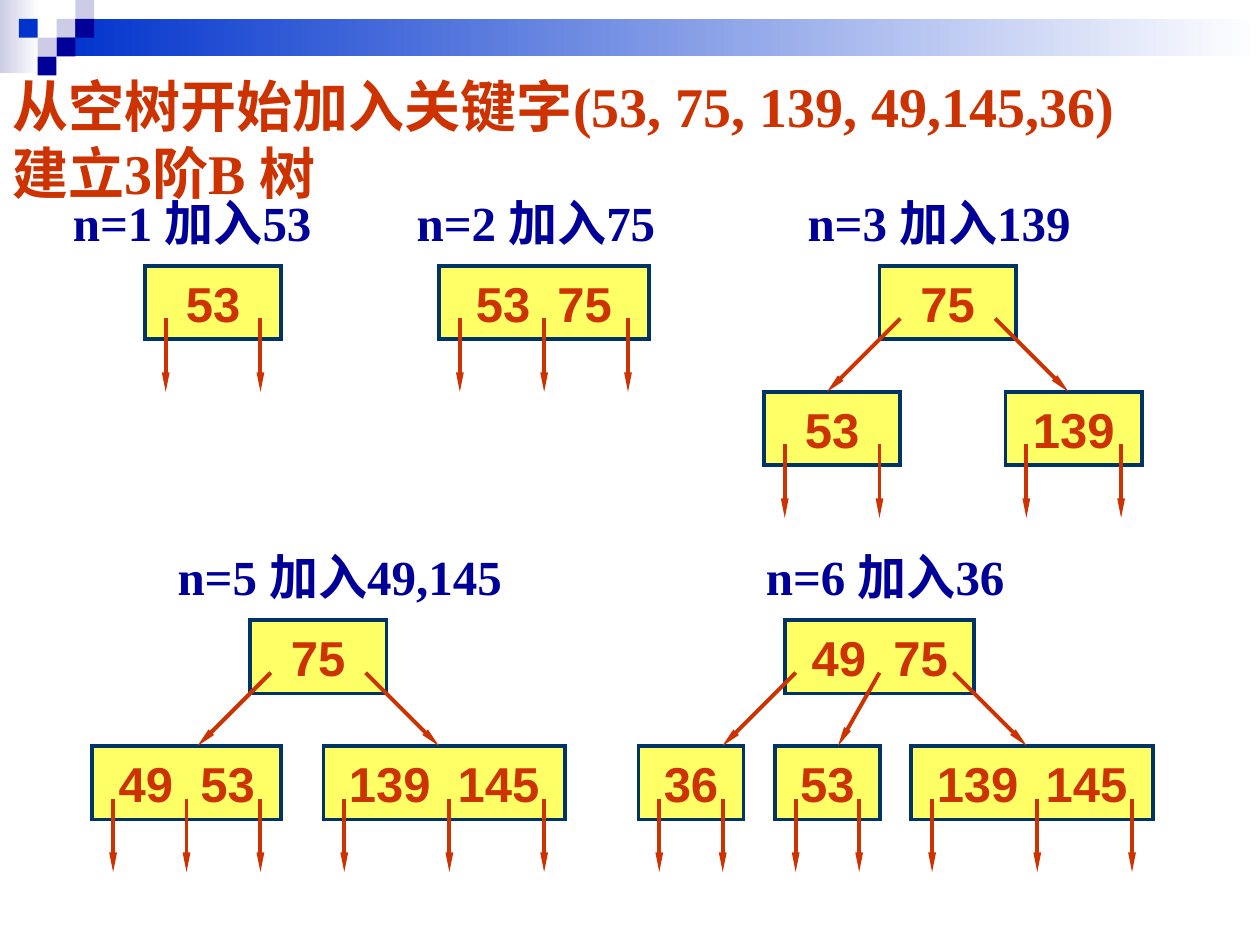
"""Build a slide showing a B-tree of order 3 growing key by key."""
from lxml.etree import SubElement
from pptx import Presentation
from pptx.dml.color import RGBColor
from pptx.enum.shapes import MSO_CONNECTOR as Connector, MSO_SHAPE as Shape
from pptx.enum.text import MSO_ANCHOR as Anchor, MSO_AUTO_SIZE as AutoSize, PP_ALIGN as Align
from pptx.oxml.ns import qn
from pptx.util import Cm, Pt

COLORS = {
    "red": "CC3300", "navy": "000099", "blue": "0033CC", "lilac": "CCCCE6",
    "white": "FFFFFF", "yellow": "FFFF66", "border": "003366",
}
TITLE = ["从空树开始加入关键字(53, 75, 139, 49,145,36)", "建立3阶B 树"]

TILE = 0.38
TILES = [
    (3, 1, "lilac"), (4, 0, "lilac"), (4, 1, "navy"), (2, 2, "lilac"),
    (1, 1, "blue"), (3, 2, "navy"), (2, 3, "navy"),
]
BANDS = [
    (0, 0, 0.79, 1.47, "lilac"),
    (3 * TILE, TILE, 25.4 - 3 * TILE, 2 * TILE, "blue"),
]

NODE_HEIGHT, LEVEL, POINTER_TOP, LABEL_RISE = 1.48, 2.54, 1.06, 1.61
SPREAD = 1.48
NODE_KINDS = {
    "small": (2.12, [0.42, 1.7]),
    "single": (2.75, [0.42, 2.33]),
    "pair": (3.81, [0.42, 1.9, 3.39]),
    "roomy": (4.23, [0.42, 2.12, 3.81]),
    "long": (4.87, [0.42, 2.54, 4.45]),
    "root pair": (3.81, [0.21, 1.9, 3.39]),
}
TWO_WAY, THREE_WAY = [-SPREAD, SPREAD], [-SPREAD, -0.84, SPREAD]
TREES = [
    {"label": "n=1 加入53", "at": (1.22, 5.9), "top": 5.36,
     "root": ("53", "single", 2.92, None), "leaves": []},
    {"label": "n=2 加入75", "at": (8.15, 5.9), "top": 5.36,
     "root": ("53  75", "roomy", 8.85, None), "leaves": []},
    {"label": "n=3 加入139", "at": (16.03, 6.4), "top": 5.36,
     "root": ("75", "single", 17.73, TWO_WAY),
     "leaves": [("53", "single", 15.4), ("139", "single", 20.27)]},
    {"label": "n=5 加入49,145", "at": (3.33, 7.65), "top": 12.5,
     "root": ("75", "single", 5.04, TWO_WAY),
     "leaves": [("49  53", "pair", 1.86), ("139  145", "long", 6.52)]},
    {"label": "n=6 加入36", "at": (15.19, 5.9), "top": 12.5,
     "root": ("49  75", "root pair", 15.83, THREE_WAY),
     "leaves": [("36", "small", 12.87), ("53", "small", 15.62), ("139  145", "long", 18.37)]},
]


def color(name):
    return RGBColor.from_string(COLORS[name])


def add_rectangle(slide, left, top, width, height):
    box = slide.shapes.add_shape(Shape.RECTANGLE, Cm(left), Cm(top), Cm(width), Cm(height))
    box.shadow.inherit = False
    box.line.fill.background()
    return box


def add_span(para, text, size, font, name):
    span = para.add_run()
    span.text = text
    span.font.size, span.font.name, span.font.bold = Pt(size), font, True
    span.font.color.rgb = color(name)


def add_text(slide, lines, left, top, width, height, size, name, wrap):
    box = slide.shapes.add_textbox(Cm(left), Cm(top), Cm(width), Cm(height))
    frame = box.text_frame
    frame.word_wrap = wrap
    frame.auto_size = AutoSize.SHAPE_TO_FIT_TEXT
    para = frame.paragraphs[0]
    for number, line in enumerate(lines):
        if number:
            para.add_line_break()
        add_span(para, line, size, "Times New Roman", name)


def add_pointer(slide, start, end, top):
    pointer = slide.shapes.add_connector(
        Connector.STRAIGHT, Cm(start), Cm(top + POINTER_TOP), Cm(end), Cm(top + LEVEL))
    pointer.line.color.rgb = color("red")
    pointer.line.width = Pt(2.25)
    SubElement(pointer.line._get_or_add_ln(), qn("a:tailEnd"), type="triangle", w="sm", len="lg")
    SubElement(pointer._element.spPr, qn("a:effectLst"))


def add_node(slide, keys, kind, left, top, shifts=None):
    width, offsets = NODE_KINDS[kind]
    node = add_rectangle(slide, left, top, width, NODE_HEIGHT)
    node.fill.solid()
    node.fill.fore_color.rgb = color("yellow")
    node.line.color.rgb = color("border")
    node.line.width = Pt(2)
    SubElement(node.line._get_or_add_ln(), qn("a:miter"), lim="800000")
    frame = node.text_frame
    frame.word_wrap = False
    frame.vertical_anchor = Anchor.MIDDLE
    frame.paragraphs[0].alignment = Align.CENTER
    add_span(frame.paragraphs[0], keys, 28, "Arial", "red")
    for offset, shift in zip(offsets, shifts or [0] * len(offsets)):
        add_pointer(slide, left + offset, left + offset + shift, top)


def add_header(slide):
    for left, top, width, height, name in BANDS:
        band = add_rectangle(slide, left, top, width, height)
        band.fill.gradient()
        band.fill.gradient_angle = 0
        for stop, shade, position in zip(band.fill.gradient_stops, (name, "white"), (0, 1)):
            stop.color.rgb = color(shade)
            stop.position = position
    for column, row, name in TILES:
        tile = add_rectangle(slide, column * TILE, row * TILE, TILE, TILE)
        tile.fill.solid()
        tile.fill.fore_color.rgb = color(name)


def add_tree(slide, tree):
    left, width = tree["at"]
    top = tree["top"]
    add_text(slide, [tree["label"]], left, top - LABEL_RISE, width, 1.45, 28, "navy", False)
    keys, kind, root_left, shifts = tree["root"]
    for leaf in tree["leaves"]:
        add_node(slide, *leaf, top + LEVEL)
    add_node(slide, keys, kind, root_left, top, shifts)


def main():
    deck = Presentation()
    deck.slide_width, deck.slide_height = Cm(25.4), Cm(19.05)
    page = deck.slides.add_slide(deck.slide_layouts[6])
    add_header(page)
    add_text(page, TITLE, 0, 1.32, 24.56, 2.97, 32, "red", True)
    for tree in TREES:
        add_tree(page, tree)
    deck.save("out.pptx")


if __name__ == "__main__":
    main()
